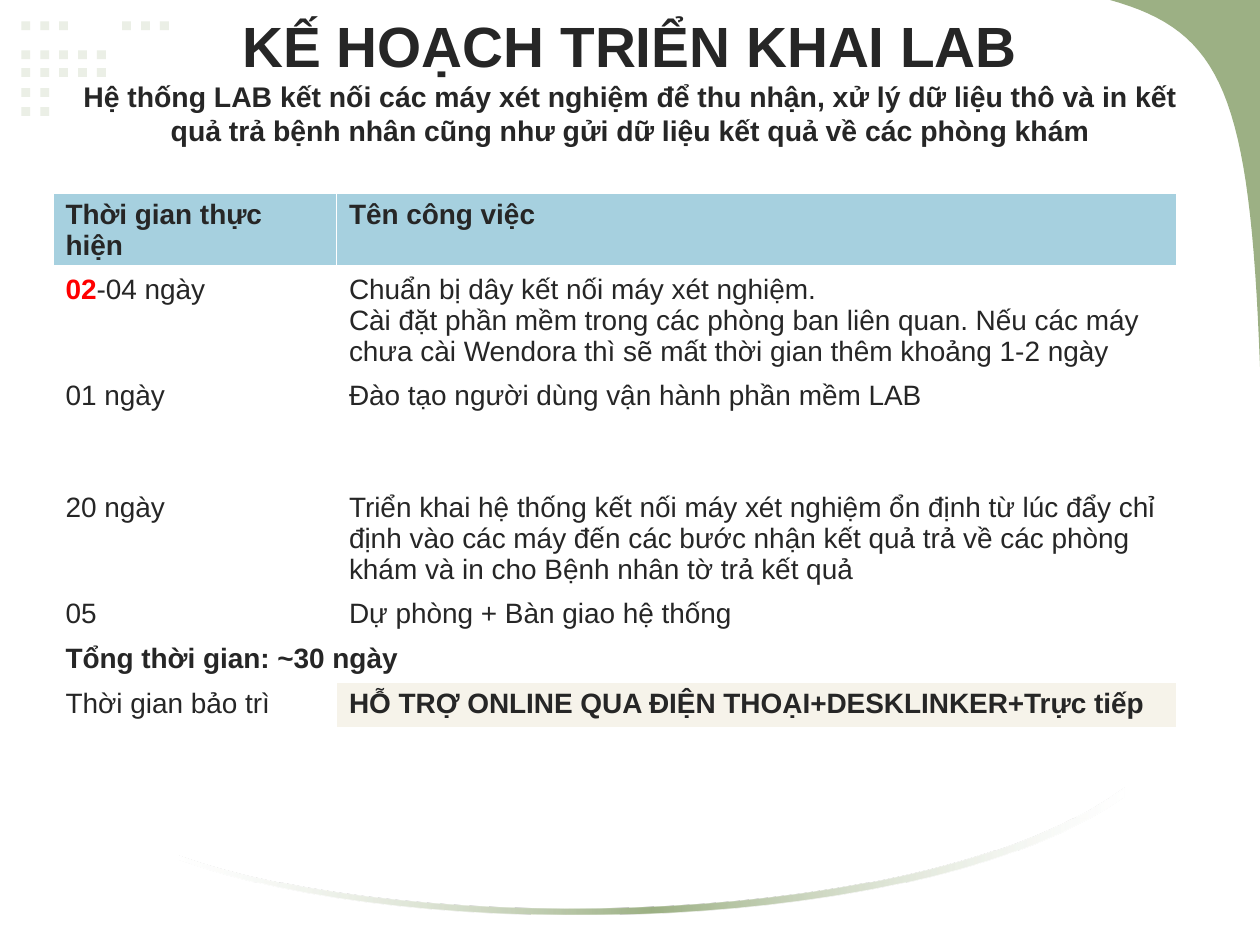
from lxml.etree import SubElement as Sub
from pptx import Presentation as Deck
from pptx.dml.color import RGBColor as Rgb
from pptx.enum.shapes import MSO_SHAPE as Kind
from pptx.enum.text import MSO_ANCHOR as Anchor, MSO_AUTO_SIZE as Fit, PP_ALIGN as Align
from pptx.oxml.ns import qn
from pptx.util import Inches as In, Pt

WIDE, HIGH = 10, 7.5
INK, RED, WHITE = "262626", "FF0000", "FFFFFF"
LEAF, MIST, SKY, SAND = "9CB084", "EBEFE6", "A6D0DF", "F6F3EA"
DOT, STEP = 0.07, 0.15
DOTS = [(0.17, 0.17, 3), (0.97, 0.17, 3), (0.17, 0.4, 5),
        (0.17, 0.54, 5), (0.17, 0.7, 2), (0.17, 0.85, 2)]
COLS = [2.25, 6.67]
ROWS = [0.36, 0.63, 0.89, 0.63, 0.36, 0.36, 0.36]
HEAD = "KẾ HOẠCH TRIỂN KHAI LAB"
LEAD = ("Hệ thống LAB kết nối các máy xét nghiệm để thu nhận, xử lý dữ liệu thô và in kết "
        "quả trả bệnh nhân cũng như gửi dữ liệu kết quả về các phòng khám")
PLAN = [
    ("01 ngày", ["Đào tạo người dùng vận hành phần mềm LAB"]),
    ("20 ngày", ["Triển khai hệ thống kết nối máy xét nghiệm ổn định từ lúc đẩy chỉ định vào "
                 "các máy đến các bước nhận kết quả trả về các phòng khám và in cho Bệnh nhân "
                 "tờ trả kết quả"]),
    ("05", ["Dự phòng + Bàn giao hệ thống"]),
]
PREP = ["Chuẩn bị dây kết nối máy xét nghiệm.",
        "Cài đặt phần mềm trong các phòng ban liên quan. Nếu các máy chưa cài Wendora "
        "thì sẽ mất thời gian thêm khoảng 1-2 ngày"]


def tint(code):
    return Rgb.from_string(code)


def paint(shape, code):
    shape.shadow.inherit = False
    shape.line.fill.background()
    shape.fill.solid()
    shape.fill.fore_color.rgb = tint(code)


def add_run(para, text, size, bold=False, code=INK):
    run = para.add_run()
    run.text = text
    font = run.font
    font.name, font.size, font.bold = "Arial", Pt(size), bold
    font.color.rgb = tint(code)


def add_dots(slide):
    for left, top, count in DOTS:
        for i in range(count):
            box = [In(v) for v in (left + i * STEP, top, DOT, DOT)]
            paint(slide.shapes.add_shape(Kind.RECTANGLE, *box), MIST)


def curve(a, b, c, d, parts=32):
    def mix(t, i):
        s = 1 - t
        return s**3 * a[i] + 3 * s * s * t * b[i] + 3 * s * t * t * c[i] + t**3 * d[i]
    return [(mix(n / parts, 0), mix(n / parts, 1)) for n in range(parts + 1)]


def add_free(slide, points):
    spots = [(In(x), In(y)) for x, y in points]
    pen = slide.shapes.build_freeform(*spots[0])
    pen.add_line_segments(spots[1:], close=True)
    shape = pen.convert_to_shape()
    paint(shape, LEAF)
    return shape


def fade(shape):
    shape.fill.gradient()
    shape.fill.gradient_angle = 0
    stops = shape._element.spPr.find(qn("a:gradFill")).find(qn("a:gsLst"))
    for stop in list(stops):
        stops.remove(stop)
    for place, code, alpha in [(0, WHITE, 30), (50, LEAF, 100), (100, WHITE, 30)]:
        stop = Sub(stops, qn("a:gs"), pos=str(place * 1000))
        color = Sub(stop, qn("a:srgbClr"), val=code)
        Sub(color, qn("a:alpha"), val=str(alpha * 1000))


def add_decor(slide):
    add_dots(slide)
    add_free(slide, curve((8.81, 0), (9.7, 0.25), (9.92, 0.74), (WIDE, 2.91)) + [(WIDE, 0)])
    upper = curve((1.42, 6.79), (3.3, 7.45), (7.4, 7.37), (8.92, 6.25))
    lower = curve((1.42, 6.82), (3.3, 7.51), (7.4, 7.42), (8.92, 6.32))
    fade(add_free(slide, upper + lower[::-1]))


def set_title(slide):
    title = slide.shapes.title
    slide.shapes._spTree.append(title._element)
    title.left, title.top = In(WIDE * 0.05), In(0)
    title.width, title.height = In(WIDE * 0.9), In(HIGH / 6)
    frame = title.text_frame
    frame.word_wrap, frame.auto_size = True, Fit.NONE
    frame.vertical_anchor = Anchor.MIDDLE
    para = frame.paragraphs[0]
    para.alignment = Align.CENTER
    add_run(para, HEAD, 32.4, True)
    para.add_line_break()
    add_run(para, LEAD, 16.2, True)


def edge(cell, base=1):
    props = cell._tc.get_or_add_tcPr()
    for side in "LRTB":
        width = Pt(base if side == "B" else 1)
        line = Sub(props, qn("a:ln" + side), w=str(width))
        Sub(Sub(line, qn("a:solidFill")), qn("a:srgbClr"), val=WHITE)


def fill_cell(cell, paras, back=None, base=1):
    edge(cell, base)
    if back:
        cell.fill.solid()
        cell.fill.fore_color.rgb = tint(back)
    else:
        cell.fill.background()
    frame = cell.text_frame
    for i, runs in enumerate(paras):
        para = frame.add_paragraph() if i else frame.paragraphs[0]
        for text, *style in runs:
            add_run(para, text, 16, *style)


def add_plan(slide):
    grid = slide.shapes.add_table(len(ROWS), len(COLS), In(0.42), In(1.53),
                                  In(sum(COLS)), In(sum(ROWS))).table
    for col, width in zip(grid.columns, COLS):
        col.width = In(width)
    for row, height in zip(grid.rows, ROWS):
        row.height = In(height)
    for i, text in enumerate(["Thời gian thực hiện", "Tên công việc"]):
        fill_cell(grid.cell(0, i), [[(text, True)]], SKY, 3)
    fill_cell(grid.cell(1, 0), [[("02", True, RED), ("-04 ngày",)]])
    fill_cell(grid.cell(1, 1), [[(text,)] for text in PREP])
    for i, (time, tasks) in enumerate(PLAN, 2):
        fill_cell(grid.cell(i, 0), [[(time,)]])
        fill_cell(grid.cell(i, 1), [[(text,)] for text in tasks])
    grid.cell(5, 0).merge(grid.cell(5, 1))
    fill_cell(grid.cell(5, 0), [[("Tổng thời gian: ~30 ngày", True)]])
    fill_cell(grid.cell(5, 1), [])
    fill_cell(grid.cell(6, 0), [[("Thời gian bảo trì",)]])
    fill_cell(grid.cell(6, 1),
              [[("HỖ TRỢ ONLINE QUA ĐIỆN THOẠI+DESKLINKER+Trực tiếp", True)]], SAND)


def main():
    deck = Deck()
    deck.slide_width, deck.slide_height = In(WIDE), In(HIGH)
    slide = deck.slides.add_slide(deck.slide_layouts[5])
    add_decor(slide)
    set_title(slide)
    add_plan(slide)
    deck.save("out.pptx")


if __name__ == "__main__":
    main()
